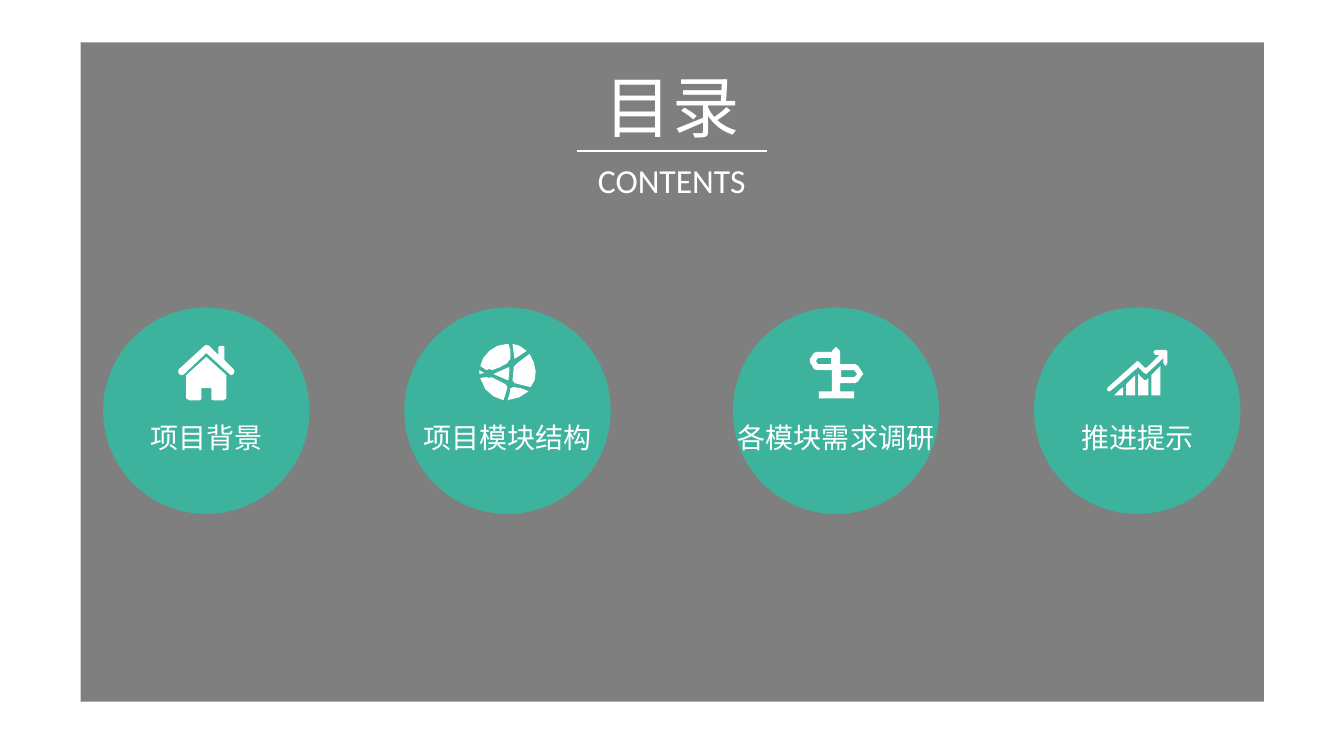
from dataclasses import dataclass

from lxml.etree import SubElement
from pptx import Presentation
from pptx.dml.color import RGBColor
from pptx.enum.shapes import MSO_CONNECTOR, MSO_SHAPE
from pptx.enum.text import MSO_ANCHOR, MSO_AUTO_SIZE, PP_ALIGN
from pptx.oxml.ns import qn
from pptx.util import Cm, Pt


@dataclass(frozen=True)
class Theme:
    panel: RGBColor = RGBColor(0, 0, 0)
    circle: RGBColor = RGBColor(0x3D, 0xB3, 0x9E)
    light: RGBColor = RGBColor(0xFF, 0xFF, 0xFF)
    latin: str = "Calibri"
    chinese: str = "Noto Sans CJK SC"
    title: int = 48
    subtitle: int = 24
    label: int = 20
    rule: float = 1.5


THEME = Theme()
MIDDLE = 16.93
CIRCLE_SIZE = 5.2
CIRCLE_TOP = 7.75
ICON_TOP = 8.64
ICON_UNIT = Cm(2.54) / 100

# Icon outlines: x from the circle's centre line, y down from the icon top.
HOUSE = [
    [(0, 14), (20, 32), (20, 55), (17, 57), (7, 57), (5, 56), (5, 45),
     (-5, 45), (-5, 56), (-7, 57), (-17, 57), (-20, 55), (-20, 32)],
    [(0, 2), (3, 3), (12, 12), (12, 4), (14, 3), (17, 3), (18, 4), (18, 17),
     (27, 26), (28, 28), (27, 31), (25, 32), (23, 31), (0, 10), (-22, 31),
     (-24, 32), (-27, 31), (-28, 28), (-27, 26), (-2, 3)],
]
GLOBE = [
    [(0, 1), (1, 1), (3, 8), (3, 16), (1, 18), (0, 20), (-7, 24), (-15, 27),
     (-18, 26), (-21, 27), (-27, 23), (-24, 15), (-18, 8), (-10, 3)],
    [(5, 1), (12, 3), (19, 8), (7, 16), (6, 8)],
    [(22, 11), (10, 20), (6, 24), (6, 27), (5, 37), (7, 40), (23, 44),
     (27, 37), (28, 28), (26, 19)],
    [(21, 48), (12, 54), (0, 57), (2, 51), (3, 45), (6, 44), (13, 45)],
    [(-4, 57), (-14, 53), (-22, 46), (-27, 35), (-21, 34), (-18, 35),
     (-16, 34), (-2, 41), (0, 44), (-2, 51)],
    [(-28, 31), (-23, 30), (-28, 27)],
    [(2, 24), (-5, 27), (-14, 31), (0, 37), (1, 37), (2, 26)],
]
SIGNPOST = [
    [(4, 21), (19, 21), (22, 23), (26, 29), (27, 31), (26, 32), (22, 38),
     (19, 40), (4, 40), (4, 48), (18, 48), (18, 55), (-17, 55), (-17, 48),
     (-4, 48), (-4, 27), (-19, 27), (-22, 26), (-26, 19), (-26, 16),
     (-22, 10), (-19, 9), (-4, 9), (-4, 8), (0, 4), (4, 8)],
    [(-5, 15), (-18, 15), (-20, 18), (-18, 21), (-5, 21)],
    [(18, 27), (5, 27), (5, 34), (18, 34), (21, 31)],
]
GROWTH = [
    [(-14, 44), (-14, 52), (-23, 52), (-17, 46)],
    [(-2, 32), (-2, 52), (-11, 52), (-11, 41)],
    [(1, 31), (5, 35), (7, 37), (9, 37), (11, 35), (11, 52), (1, 52)],
    [(23, 23), (23, 52), (14, 52), (14, 32)],
    [(19, 7), (28, 7), (30, 8), (30, 20), (28, 23), (26, 20), (26, 15),
     (10, 30), (9, 31), (7, 30), (1, 24), (-15, 38), (-27, 48), (-29, 48),
     (-30, 46), (-29, 44), (0, 18), (2, 19), (8, 25), (10, 24), (22, 12),
     (18, 12), (16, 9), (18, 7)],
]
TOPICS = [
    (-11.73, "项目背景", HOUSE),
    (-4.14, "项目模块结构", GLOBE),
    (4.14, "各模块需求调研", SIGNPOST),
    (11.73, "推进提示", GROWTH),
]


def paint(sp, color):
    sp.fill.solid()
    sp.fill.fore_color.rgb = color
    sp.line.fill.background()
    sp.shadow.inherit = False


def add_preset(s, kind, left, top, width, height, color):
    sp = s.shapes.add_shape(kind, Cm(left), Cm(top), Cm(width), Cm(height))
    paint(sp, color)
    return sp


def set_text(sp, text, size, font):
    """Write one centred light line into a text box or placeholder."""
    tf = sp.text_frame
    frame_format = {"word_wrap": True, "auto_size": MSO_AUTO_SIZE.NONE,
                    "vertical_anchor": MSO_ANCHOR.MIDDLE}
    for name, value in frame_format.items():
        setattr(tf, name, value)
    p = tf.paragraphs[0]
    p.alignment = PP_ALIGN.CENTER
    r = p.add_run()
    r.text = text
    r.font.color.rgb = THEME.light
    for name, value in {"size": Pt(size), "name": font}.items():
        setattr(r.font, name, value)
    SubElement(r.font._element, qn("a:ea"), typeface=THEME.chinese)


def add_label(s, center, top, width, height, text, size):
    sp = s.shapes.add_textbox(Cm(center - width / 2), Cm(top), Cm(width), Cm(height))
    set_text(sp, text, size, THEME.latin)


def add_title(s, text):
    sp = s.shapes.title
    box = {"left": 13.28, "top": 1.5, "width": 7.32, "height": 2.31}
    for name, value in box.items():
        setattr(sp, name, Cm(value))
    set_text(sp, text, THEME.title, THEME.chinese)


def add_rule(s, center, y, width):
    sp = s.shapes.add_connector(
        MSO_CONNECTOR.STRAIGHT,
        Cm(center - width / 2), Cm(y), Cm(center + width / 2), Cm(y))
    sp.line.color.rgb = THEME.light
    sp.line.width = Pt(THEME.rule)
    SubElement(sp._element.spPr, qn("a:effectLst"))


def add_icon(s, center, outlines):
    """Draw all outlines as one shape, so that inner ones become holes."""
    first, *others = outlines
    builder = s.shapes.build_freeform(*first[0], scale=ICON_UNIT)
    builder.add_line_segments(first[1:], close=True)
    for outline in others:
        builder.move_to(*outline[0])
        builder.add_line_segments(outline[1:], close=True)
    paint(builder.convert_to_shape(Cm(center), Cm(ICON_TOP)), THEME.light)


def add_topic(s, center, text, icon):
    add_preset(s, MSO_SHAPE.OVAL, center - CIRCLE_SIZE / 2, CIRCLE_TOP,
               CIRCLE_SIZE, CIRCLE_SIZE, THEME.circle)
    add_icon(s, center, icon)
    add_label(s, center, 10.46, 5.61, 1.12, text, THEME.label)


def add_panel(s):
    sp = add_preset(s, MSO_SHAPE.RECTANGLE, 2.03, 1.07, 29.82, 16.61, THEME.panel)
    color = sp._element.spPr.find(qn("a:solidFill"))[0]
    SubElement(color, qn("a:alpha"), val="50000")
    s.shapes._spTree.insert(2, sp._element)  # behind the title


def main():
    prs = Presentation()
    prs.slide_width, prs.slide_height = Cm(33.87), Cm(19.05)
    s = prs.slides.add_slide(prs.slide_layouts[5])
    add_panel(s)
    add_title(s, "目录")
    add_rule(s, MIDDLE, 3.81, 4.8)
    add_label(s, MIDDLE, 3.91, 5.59, 1.27, "CONTENTS", THEME.subtitle)
    for offset, text, icon in TOPICS:
        add_topic(s, MIDDLE + offset, text, icon)
    prs.save("out.pptx")


if __name__ == "__main__":
    main()
